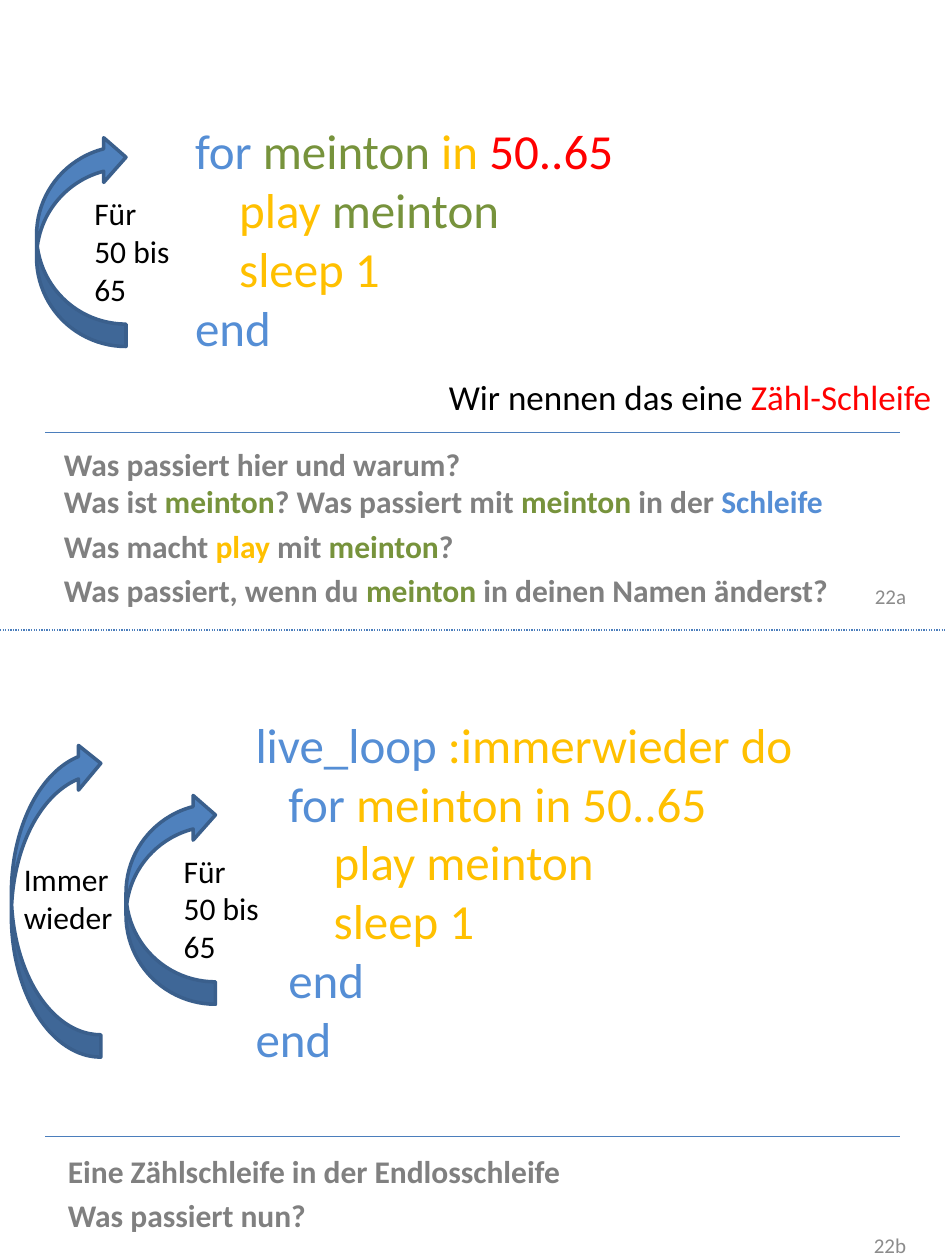
from lxml.etree import SubElement
from pptx import Presentation
from pptx.dml.color import RGBColor
from pptx.enum.dml import MSO_LINE
from pptx.enum.shapes import MSO_CONNECTOR, MSO_SHAPE
from pptx.enum.text import MSO_ANCHOR, PP_ALIGN
from pptx.oxml.ns import qn
from pptx.util import Inches, Pt

COLOURS = {
    "black": "000000", "grey": "808080", "number": "8C8C8C",
    "blue": "558ED5", "green": "77933C", "yellow": "FFC000", "red": "FF0000",
    "rule": "4B7EBC", "arrow": "4F81BD", "edge": "3A5F8C",
}
BREAK = ("", None)


def colour(name):
    return RGBColor.from_string(COLOURS[name])


class Card:
    """Holds the text style and the page being filled."""

    font = "Calibri"

    def __init__(self, page):
        self.page = page

    def rule(self, left, right, top, dash=None):
        line = self.page.shapes.add_connector(
            MSO_CONNECTOR.STRAIGHT, Inches(left), Inches(top), Inches(right), Inches(top))
        line.line.color.rgb = colour("rule")
        line.line.width = Pt(0.75)
        if dash:
            line.line.dash_style = dash
        SubElement(line._element.spPr, qn("a:effectLst"))

    def text(self, place, paragraphs, size, bold=False, align=PP_ALIGN.LEFT,
             before=0, wrap=True, anchor=MSO_ANCHOR.TOP):
        """Each paragraph is (indent in inches, [(wording, colour), ...])."""
        box = self.page.shapes.add_textbox(*map(Inches, place))
        frame = box.text_frame
        for name, value in {"word_wrap": wrap, "vertical_anchor": anchor}.items():
            setattr(frame, name, value)
        for index, (indent, spans) in enumerate(paragraphs):
            para = frame.add_paragraph() if index else frame.paragraphs[0]
            for name, value in {"alignment": align, "space_before": Pt(before)}.items():
                setattr(para, name, value)
            if indent:
                para._p.get_or_add_pPr().set("marL", str(Inches(indent)))
            for span in spans:
                if span == BREAK:
                    para.add_line_break()
                    continue
                run = para.add_run()
                run.text = span[0]
                run.font.color.rgb = colour(span[1])
                for name, value in {"name": self.font, "size": Pt(size), "bold": bold}.items():
                    setattr(run.font, name, value)

    def code(self, place, lines):
        self.text(place, lines, 28)

    def questions(self, place, lines):
        self.text(place, [(0, spans) for spans in lines], 18, bold=True, before=3.6)

    def number(self, top, wording):
        self.text((6.59, top, 0.7, 0.24), [(0, [(wording, "number")])], 12,
                  align=PP_ALIGN.RIGHT, anchor=MSO_ANCHOR.MIDDLE)

    def loop_arrow(self, left, top, height):
        arrow = self.page.shapes.add_shape(
            MSO_SHAPE.CURVED_LEFT_ARROW, Inches(left), Inches(top), Inches(0.71), Inches(height))
        arrow.rotation = 180
        arrow.shadow.inherit = False
        arrow.fill.solid()
        arrow.fill.fore_color.rgb = colour("arrow")
        arrow.line.color.rgb = colour("edge")
        arrow.line.width = Pt(2)

    def loop_label(self, place, lines):
        self.text(place, [(0, [(line, "black")]) for line in lines], 18, wrap=False)

    def counting_loop(self, left, top):
        self.loop_arrow(left, top, 1.68)
        self.loop_label((left + 0.36, top + 0.42, 0.81, 1.01), ["Für", "50 bis", "65"])


def main():
    deck = Presentation()
    deck.slide_width, deck.slide_height = Inches(7.5), Inches(10)
    card = Card(deck.slides.add_slide(deck.slide_layouts[6]))
    meinton = ("meinton", "green")

    # Dividing lines and card numbers
    card.rule(0, 7.5, 5, MSO_LINE.ROUND_DOT)
    for top in (3.43, 9.02):
        card.rule(0.36, 7.14, top)
    card.number(4.61, "22a")
    card.number(9.76, "22b")

    # Upper card: counting loop
    card.text((-0.01, 2.93, 7.5, 0.44),
              [(0, [("Wir nennen das eine ", "black"), ("Zähl-Schleife", "red")])],
              20, align=PP_ALIGN.RIGHT, before=4)
    card.questions((0.41, 3.48, 7.06, 1.43), [
        [("Was passiert hier und warum?", "grey"), BREAK,
         ("Was ist ", "grey"), meinton, ("? Was passiert mit ", "grey"), meinton,
         (" in der ", "grey"), ("Schleife", "blue")],
        [("Was macht ", "grey"), ("play", "yellow"), (" mit ", "grey"), meinton, ("?", "grey")],
        [("Was passiert, wenn du ", "grey"), meinton, (" in deinen Namen änderst?", "grey")],
    ])
    card.code((1.45, 0.91, 5.04, 1.99), [
        (0, [("for ", "blue"), meinton, (" in ", "yellow"), ("50..65", "red")]),
        (0.35, [("play ", "yellow"), meinton]),
        (0.35, [("sleep 1", "yellow")]),
        (0, [("end", "blue")]),
    ])
    card.counting_loop(0.29, 1.07)

    # Lower card: counting loop inside an endless loop
    card.questions((0.44, 9.09, 7.06, 0.77), [
        [("Eine Zählschleife in der Endlosschleife", "grey")],
        [("Was passiert nun?", "grey")],
    ])
    card.code((1.93, 5.62, 5.04, 2.93), [
        (0, [("live_loop ", "blue"), (":immerwieder do", "yellow")]),
        (0.26, [("for ", "blue"), ("meinton in 50..65", "yellow")]),
        (0.62, [("play meinton", "yellow")]),
        (0.62, [("sleep 1", "yellow")]),
        (0.26, [("end", "blue")]),
        (0, [("end", "blue")]),
    ])
    card.counting_loop(1, 6.29)
    card.loop_arrow(0.09, 5.88, 2.51)
    card.loop_label((0.09, 6.78, 0.91, 0.71), ["Immer", "wieder"])

    deck.save("out.pptx")


if __name__ == "__main__":
    main()
